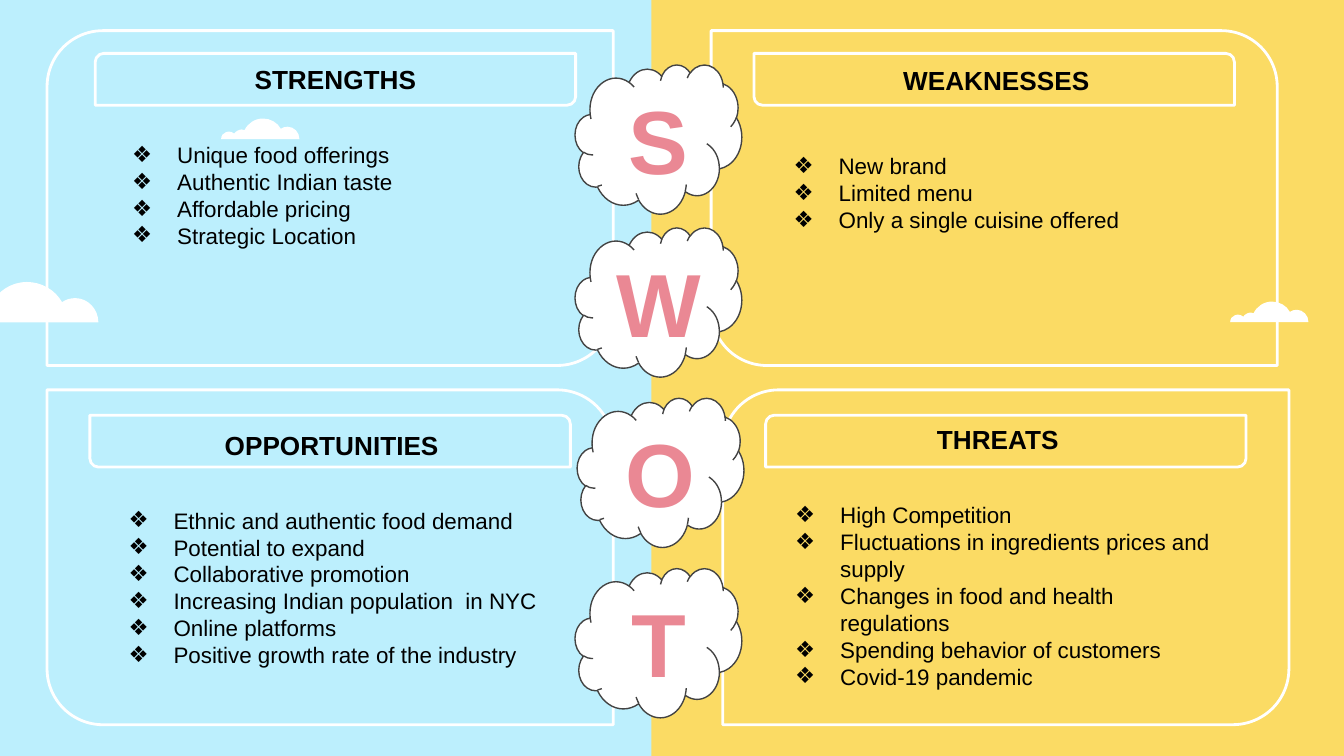
from lxml.etree import SubElement
from pptx import Presentation
from pptx.dml.color import RGBColor
from pptx.enum.shapes import MSO_SHAPE as Shape
from pptx.enum.text import PP_ALIGN as Align
from pptx.oxml.ns import qn
from pptx.util import Cm, Pt

WHITE = RGBColor(0xFF, 0xFF, 0xFF)
BLACK = RGBColor(0, 0, 0)
SKY = RGBColor(0xBC, 0xEF, 0xFD)
YELLOW = RGBColor(0xFB, 0xDB, 0x64)
PINK = RGBColor(0xEA, 0x88, 0x94)
GREY = RGBColor(0x43, 0x43, 0x43)

PANEL_W, PANEL_H = 10.7, 6.33
HEADER_W, HEADER_H = 9.08, 0.98
# Corner adjustments: rounded top-left and bottom-right, or the other pair
FALLING, RISING = (0.167, 0), (0, 0.167)

# Panel corner, panel and header rounding, then offsets of header, title and list
PANELS = [
    ("STRENGTHS", (0.89, 0.58), FALLING, FALLING, (0.91, 0.43), (1.88, 0.36), (0.94, 1.84),
     ["Unique food offerings", "Authentic Indian taste", "Affordable pricing",
      "Strategic Location"]),
    ("WEAKNESSES", (13.44, 0.58), RISING, RISING, (0.81, 0.43), (1.82, 0.39), (0.89, 2.05),
     ["New brand", "Limited menu", "Only a single cuisine offered"]),
    ("OPPORTUNITIES", (0.89, 7.37), RISING, RISING, (0.81, 0.48), (1.81, 0.5), (0.87, 1.96),
     ["Ethnic and authentic food demand", "Potential to expand",
      "Collaborative promotion", "Increasing Indian population  in NYC",
      "Online platforms", "Positive growth rate of the industry"]),
    ("THREATS", (13.66, 7.37), FALLING, FALLING, (0.81, 0.48), (1.63, 0.38), (0.7, 1.86),
     ["High Competition", "Fluctuations in ingredients prices and supply",
      "Changes in food and health regulations", "Spending behavior of customers",
      "Covid-19 pandemic"]),
]
LETTERS = [("S", 10.87, 1.22), ("W", 10.87, 4.3), ("O", 10.91, 7.52), ("T", 10.87, 10.74)]

# Flat-bottomed cloud on a 114 by 30 grid: Bezier handles and end of each arc
CLOUD_W = 114
CLOUD_START = (61, 0)
CLOUD_ARCS = [
    ((49, 0), (39, 7), (34, 17)),
    ((33, 17), (32, 16), (30, 16)),
    ((26, 16), (21, 19), (19, 22)),
    ((17, 20), (14, 19), (11, 19)),
    ((10, 19), (8, 19), (7, 20)),
    ((3, 21), (0, 25), (0, 30)),
    ((114, 30),),
    ((114, 20), (106, 12), (97, 12)),
    ((93, 12), (90, 13), (87, 15)),
    ((82, 6), (72, 0), (61, 0)),
]


def paint(shape, fill=None, line=None, width=1.5):
    shape.shadow.inherit = False
    if fill is None:
        shape.fill.background()
    else:
        shape.fill.solid()
        shape.fill.fore_color.rgb = fill
    if line is None:
        shape.line.fill.background()
    else:
        shape.line.color.rgb = line
        shape.line.width = Pt(width)


def add_preset(slide, kind, box, adjustments=(), **colours):
    shape = slide.shapes.add_shape(kind, *map(Cm, box))
    for index, value in enumerate(adjustments):
        shape.adjustments[index] = value
    paint(shape, **colours)


def add_bullet(paragraph, size):
    properties = paragraph._p.get_or_add_pPr()
    properties.set("marL", str(Cm(1.27)))
    properties.set("indent", str(-Cm(0.85)))
    colour = SubElement(properties, qn("a:buClr"))
    SubElement(colour, qn("a:srgbClr"), val=str(BLACK))
    SubElement(properties, qn("a:buSzPts"), val=str(size * 100))
    SubElement(properties, qn("a:buFont"), typeface="Arial")
    SubElement(properties, qn("a:buChar"), char="❖")


def add_text(slide, box, lines, size=12, color=BLACK, bold=False, align=Align.LEFT,
             bullets=False):
    frame = slide.shapes.add_textbox(*map(Cm, box)).text_frame
    frame.word_wrap = True
    frame.margin_left = frame.margin_right = Cm(0.25)
    frame.margin_top = frame.margin_bottom = Cm(0.25)
    for index, line in enumerate(lines):
        paragraph = frame.paragraphs[0] if index == 0 else frame.add_paragraph()
        if bullets:
            add_bullet(paragraph, size)
        paragraph.alignment = align
        run = paragraph.add_run()
        run.text = line
        font = run.font
        font.name, font.size, font.bold = "Arial", Pt(size), bold
        font.color.rgb = color


def add_sky_cloud(slide, left, top, width):
    builder = slide.shapes.build_freeform(*CLOUD_START, scale=Cm(width) / CLOUD_W)
    builder.add_line_segments([arc[-1] for arc in CLOUD_ARCS], close=True)
    cloud = builder.convert_to_shape(Cm(left), Cm(top))
    # Turn the segments that have handles into Bezier arcs
    segments = list(cloud._element.iter(qn("a:lnTo")))
    for segment, arc in zip(segments, CLOUD_ARCS):
        if len(arc) == 3:
            segment.tag = qn("a:cubicBezTo")
            for child in list(segment):
                segment.remove(child)
            for x, y in arc:
                SubElement(segment, qn("a:pt"), x=str(x), y=str(y))
    paint(cloud, fill=WHITE)


def add_backdrop(slide, width, height):
    slide.background.fill.solid()
    slide.background.fill.fore_color.rgb = YELLOW
    add_preset(slide, Shape.RECTANGLE, (-0.1, -0.08, width, height), fill=SKY)
    for left, top, cloud_width in [(-1.04, 5.33, 2.9), (4.18, 2.24, 1.48), (23.25, 5.7, 1.48)]:
        add_sky_cloud(slide, left, top, cloud_width)


def add_panel(slide, title, corner, rounding, header_rounding, header, heading, listing, points):
    left, top = corner

    def place(offset, width, height):
        return left + offset[0], top + offset[1], width, height

    # Outline and header frame
    add_preset(slide, Shape.ROUND_2_DIAG_RECTANGLE, (left, top, PANEL_W, PANEL_H),
               rounding, line=WHITE)
    add_preset(slide, Shape.ROUND_2_DIAG_RECTANGLE, place(header, HEADER_W, HEADER_H),
               header_rounding, line=WHITE)
    # Title and points
    add_text(slide, place(heading, 7.14, 1.12), [title], size=14, bold=True,
             align=Align.CENTER)
    add_text(slide, place(listing, 8.94, PANEL_H - listing[1]), points, bullets=True)


def add_letter_cloud(slide, letter, left, top, width=3.15, height=2.82):
    add_preset(slide, Shape.CLOUD, (left, top, width, height),
               fill=WHITE, line=GREY, width=0.75)
    add_text(slide, (left, top + 0.13, width, height - 0.25), [letter],
             size=48, color=PINK, bold=True, align=Align.CENTER)


def main():
    deck = Presentation()
    deck.slide_width, deck.slide_height = Cm(25.4), Cm(14.29)
    slide = deck.slides.add_slide(deck.slide_layouts[6])
    add_backdrop(slide, 12.41, 14.38)
    for panel in PANELS:
        add_panel(slide, *panel)
    for letter, left, top in LETTERS:
        add_letter_cloud(slide, letter, left, top)
    deck.save("out.pptx")


if __name__ == "__main__":
    main()
